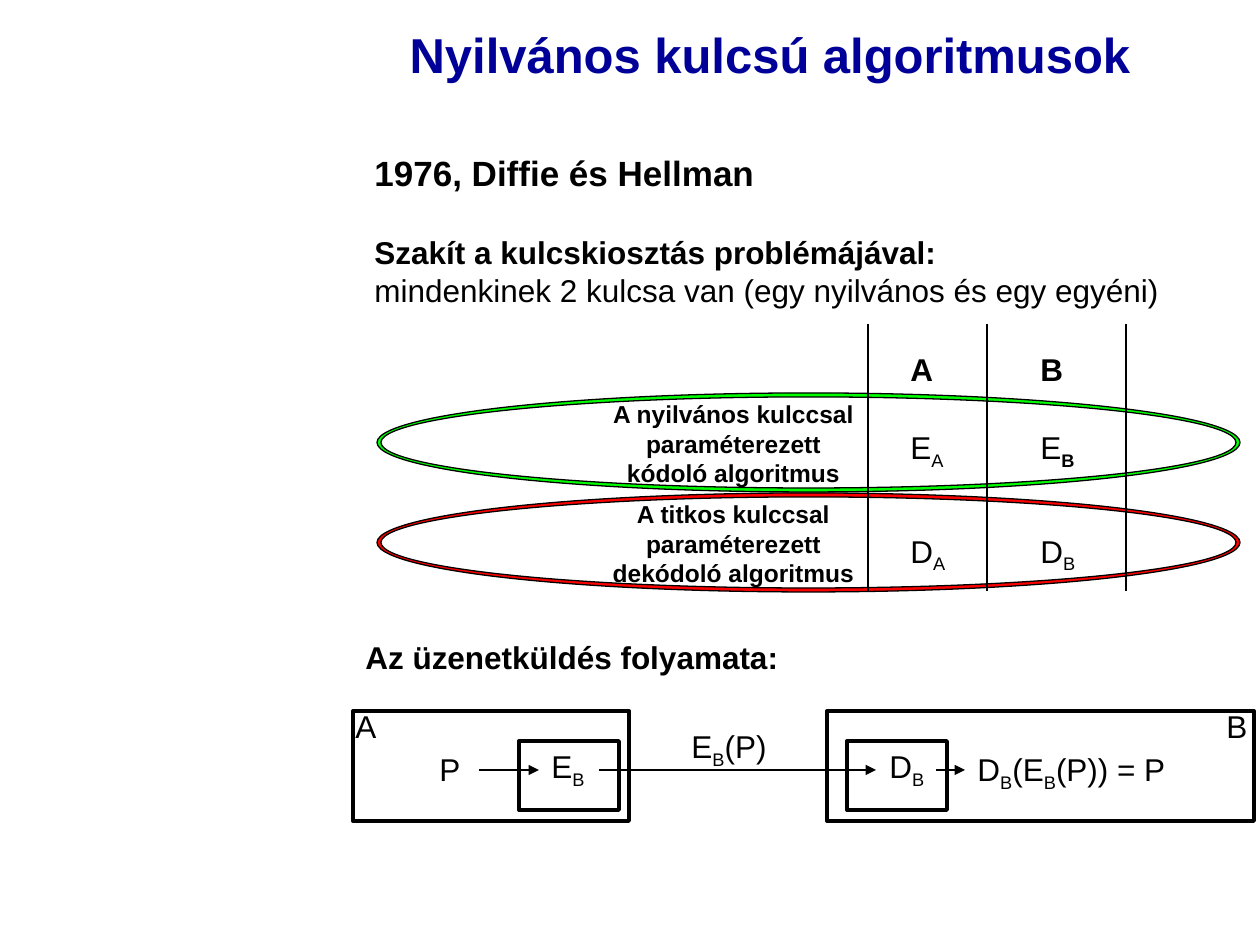
import pptx
import pptx.util
import pptx.dml.color
import pptx.enum.shapes
import pptx.enum.text
import pptx.oxml.ns
from lxml import etree

PX = 914400 / 126  # EMU in one px
BLACK = pptx.dml.color.RGBColor(0, 0, 0)
NAVY = pptx.dml.color.RGBColor(0, 0, 0x99)
GREEN = pptx.dml.color.RGBColor(0, 0xFF, 0)
RED = pptx.dml.color.RGBColor(0xFF, 0, 0)
SHAPE = pptx.enum.shapes.MSO_SHAPE
CENTER = pptx.enum.text.PP_ALIGN.CENTER


def px(*lengths):
    return [round(v * PX) for v in lengths]


def add_run(p, text, subscript=False, bold=None):
    r = p.add_run()
    r.text = text
    if bold is not None:
        r.font.bold = bold
    if subscript:
        r._r.get_or_add_rPr().set("baseline", "-25000")


def add_text(s, box, lines, wrap=False, align=None, color=BLACK, middle=False):
    """Each line is (text, size, bold, space before); "_" lowers the next letter, "^" makes it bold too."""
    tf = s.shapes.add_textbox(*px(*box)).text_frame
    tf.word_wrap = wrap
    if middle:
        tf.vertical_anchor = pptx.enum.text.MSO_ANCHOR.MIDDLE
    for i, (text, size, bold, before) in enumerate(lines):
        p = tf.add_paragraph() if i else tf.paragraphs[0]
        p.alignment = align
        if before:
            p.space_before = pptx.util.Pt(before)
        p.font.name = "Arial"
        p.font.size = pptx.util.Pt(size)
        p.font.bold = bold
        p.font.color.rgb = color
        first, *rest = text.replace("^", "_^").split("_")
        add_run(p, first)
        for part in rest:
            strong = part.startswith("^")
            part = part.lstrip("^")
            add_run(p, part[0], subscript=True, bold=True if strong else None)
            if part[1:]:
                add_run(p, part[1:])


def add_outline(s, kind, box, width, fill=None):
    sp = s.shapes.add_shape(kind, *px(*box))
    sp.shadow.inherit = False
    if fill is None:
        sp.fill.background()
    else:
        sp.fill.solid()
        sp.fill.fore_color.rgb = fill
    sp.line.color.rgb = BLACK
    sp.line.width = pptx.util.Pt(width)
    return sp


def add_line(s, x1, y1, x2, y2, arrow=False):
    line = s.shapes.add_connector(pptx.enum.shapes.MSO_CONNECTOR.STRAIGHT, *px(x1, y1, x2, y2))
    line.line.color.rgb = BLACK
    line.line.width = pptx.util.Pt(0.75)
    if arrow:
        tail = etree.SubElement(line.line._get_or_add_ln(), pptx.oxml.ns.qn("a:tailEnd"))
        tail.set("type", "triangle")
    etree.SubElement(line._element.spPr, pptx.oxml.ns.qn("a:effectLst"))


def add_heading(s, box):
    add_text(s, box, [("Nyilvános kulcsú algoritmusok", 28, True, 0)],
             wrap=True, align=CENTER, color=NAVY, middle=True)


def add_intro(s, box):
    add_text(s, box, [
        ("1976, Diffie és Hellman", 20, True, 0),
        ("Szakít a kulcskiosztás problémájával:", 18, True, 23),
        ("mindenkinek 2 kulcsa van (egy nyilvános és egy egyéni)", 18, False, 0),
    ], wrap=True)


def add_key_grid(s, box):
    x, y, w, h = box
    # Columns of participants
    for dx, name, encoder, decoder in ((521, "A", "E_A", "D_A"), (651, "B", "E^B", "D_B")):
        add_text(s, (x + dx, y + 20, 60, 251),
                 [(name, 18, True, 0), (encoder, 18, False, 23), (decoder, 18, False, 34.5)])
    # Row labels
    row_h = 100
    top = y + h - 2 * row_h + 2
    rows = (("A nyilvános kulccsal", "kódoló algoritmus", GREEN),
            ("A titkos kulccsal", "dekódoló algoritmus", RED))
    for i, (key, role, _) in enumerate(rows):
        add_text(s, (x + 223, top + i * row_h, 267, row_h),
                 [(t, 14, True, 0) for t in (key, "paraméterezett", role)], align=CENTER)
    # Rings, the upper one in front
    for i in (1, 0):
        ring = add_outline(s, SHAPE.DONUT, (x, top + i * row_h, w, row_h - 1), 0.75, rows[i][2])
        ring.adjustments[0] = 0.04
    # Column rules
    for dx in (491, 610, 749):
        add_line(s, x + dx, y, x + dx, y + h)


def add_message_flow(s, box):
    x, y, w, h = box

    def label(dx, dy, width, text):
        add_text(s, (x + dx, y + dy, width, 55), [(text, 18, False, 0)])

    # Participants and their algorithms
    for dx, width in ((0, 276), (w - 427, 427)):
        add_outline(s, SHAPE.RECTANGLE, (x + dx, y, width, h), 2.25)
    for dx in (166, 494):
        add_outline(s, SHAPE.RECTANGLE, (x + dx, y + 30, 100, 69), 2.25)
    # Labels
    label(-10, -10, 45, "A")
    label(861, -10, 45, "B")
    label(74, 33, 45, "P")
    label(186, 30, 58, "E_B")
    label(326, 10, 100, "E_B(P)")
    label(524, 30, 60, "D_B")
    label(612, 33, 213, "D_B(E_B(P)) = P")
    # Path of the message
    for start, end in ((126, 186), (246, 523), (583, 612)):
        add_line(s, x + start, y + 59, x + end, y + 59, arrow=True)


def main():
    prs = pptx.Presentation()
    prs.slide_width, prs.slide_height = px(1260, 945)
    s = prs.slides.add_slide(prs.slide_layouts[6])
    add_heading(s, (343, 0, 854, 107))
    add_intro(s, (362, 145, 873, 173))
    add_key_grid(s, (377, 324, 863, 267))
    add_text(s, (353, 632, 438, 50), [("Az üzenetküldés folyamata:", 18, True, 0)])
    add_message_flow(s, (353, 711, 901, 110))
    prs.save("out.pptx")


if __name__ == "__main__":
    main()
